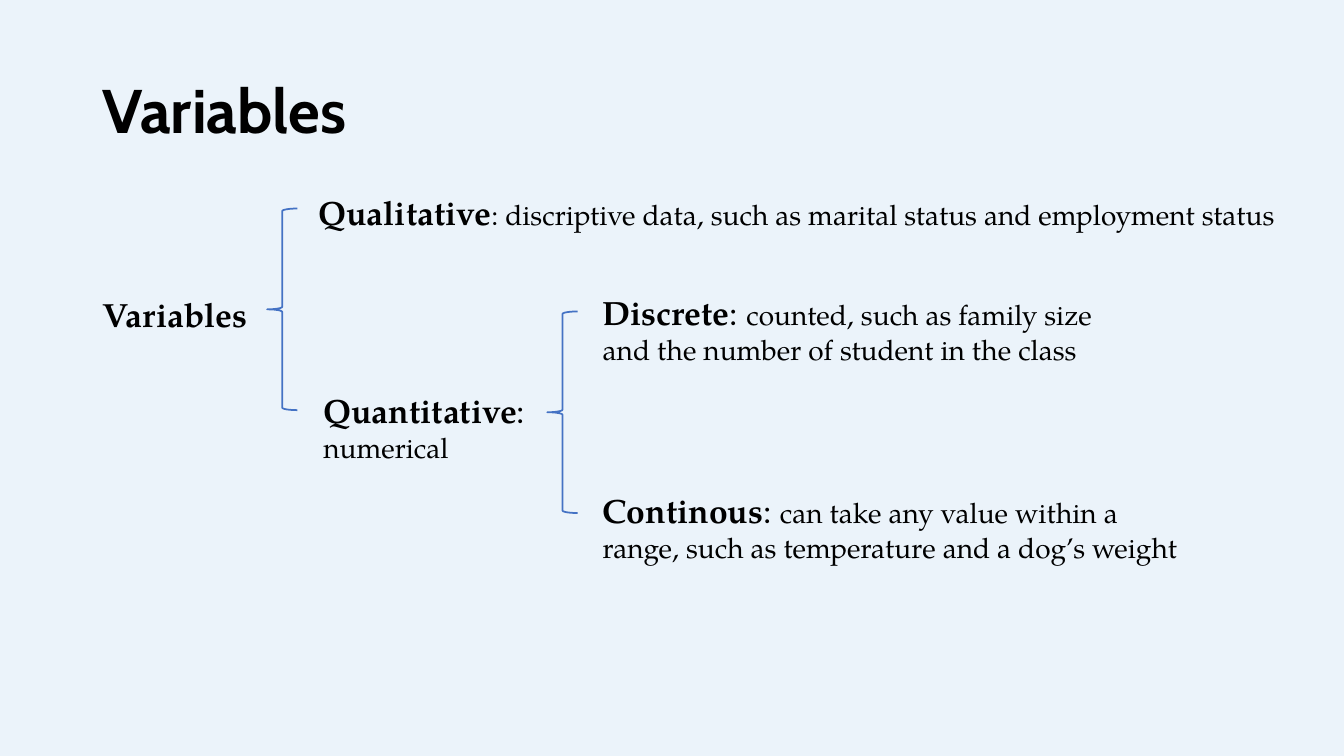
"""Build a slide that classifies variables with a tree of braces."""
from dataclasses import dataclass

from pptx import Presentation
from pptx.dml.color import RGBColor
from pptx.enum.shapes import MSO_SHAPE
from pptx.enum.text import MSO_ANCHOR
from pptx.slide import Slide
from pptx.util import Pt

BODY_FONT = "TeX Gyre Pagella"
TERM_SIZE = 24
DETAIL_SIZE = 20


@dataclass(frozen=True)
class Phrase:
    text: str
    size: float = TERM_SIZE
    bold: bool = False
    font: str = BODY_FONT


@dataclass(frozen=True)
class Entry:
    left: float
    top: float
    width: float
    height: float
    paragraphs: tuple[tuple[Phrase, ...], ...]
    anchor: MSO_ANCHOR = MSO_ANCHOR.TOP
    line_spacing: float = 1.0


@dataclass(frozen=True)
class Brace:
    left: float
    top: float
    width: float = 21.6
    height: float = 144


def term(text: str) -> Phrase:
    """Return a bold phrase for a kind of variable."""
    return Phrase(text, bold=True)


def detail(text: str) -> Phrase:
    """Return a smaller phrase that explains a term."""
    return Phrase(text, DETAIL_SIZE)


ENTRIES = (
    Entry(66, 28.8, 828, 104.4, ((Phrase("Variables", 44, True, "Cabin"),),),
          MSO_ANCHOR.MIDDLE, 0.9),
    Entry(66, 206.6, 133.2, 36, ((term("Variables"),),)),
    Entry(220.3, 133.2, 720, 36, ((
        term("Qualitative"),
        detail(": discriptive data, such as marital status and employment status"),
    ),)),
    Entry(223.9, 275, 183.6, 60.5, (
        (term("Quantitative"), Phrase(":")),
        (detail("numerical"),),
    )),
    Entry(423.4, 205.2, 399.6, 60.5, ((
        term("Discrete"), Phrase(": "),
        detail("counted, such as family size and the number of student in the class"),
    ),)),
    Entry(423.4, 346.3, 429.8, 60.5, ((
        term("Continous"), Phrase(": "),
        detail("can take any value within a range, such as temperature and a dog’s weight"),
    ),)),
)
BRACES = (Brace(190.8, 149), Brace(391, 222.5))


def color(value: str) -> RGBColor:
    """Convert a hex string to a colour."""
    return RGBColor.from_string(value)


def draw_entry(slide: Slide, entry: Entry) -> None:
    """Draw one entry as a wrapped text box."""
    frame = slide.shapes.add_textbox(
        Pt(entry.left), Pt(entry.top), Pt(entry.width), Pt(entry.height)
    ).text_frame
    frame.word_wrap = True
    frame.vertical_anchor = entry.anchor
    for index, phrases in enumerate(entry.paragraphs):
        paragraph = frame.add_paragraph() if index else frame.paragraphs[0]
        paragraph.line_spacing = entry.line_spacing
        for phrase in phrases:
            run = paragraph.add_run()
            run.text = phrase.text
            run.font.name = phrase.font
            run.font.size = Pt(phrase.size)
            run.font.bold = phrase.bold
            run.font.color.rgb = color("000000")


def draw_brace(slide: Slide, brace: Brace) -> None:
    """Draw one brace that opens to the right."""
    outline = slide.shapes.add_shape(
        MSO_SHAPE.LEFT_BRACE,
        Pt(brace.left), Pt(brace.top), Pt(brace.width), Pt(brace.height),
    )
    outline.shadow.inherit = False
    outline.fill.background()
    outline.line.color.rgb = color("4472C4")
    outline.line.width = Pt(1.25)


def main() -> None:
    """Build and save the presentation."""
    presentation = Presentation()
    presentation.slide_width = Pt(960)
    presentation.slide_height = Pt(540)
    slide = presentation.slides.add_slide(presentation.slide_layouts[6])
    backdrop = slide.background.fill
    backdrop.solid()
    backdrop.fore_color.rgb = color("EBF3FA")
    for entry in ENTRIES:
        draw_entry(slide, entry)
    for brace in BRACES:
        draw_brace(slide, brace)
    presentation.save("out.pptx")


if __name__ == "__main__":
    main()
